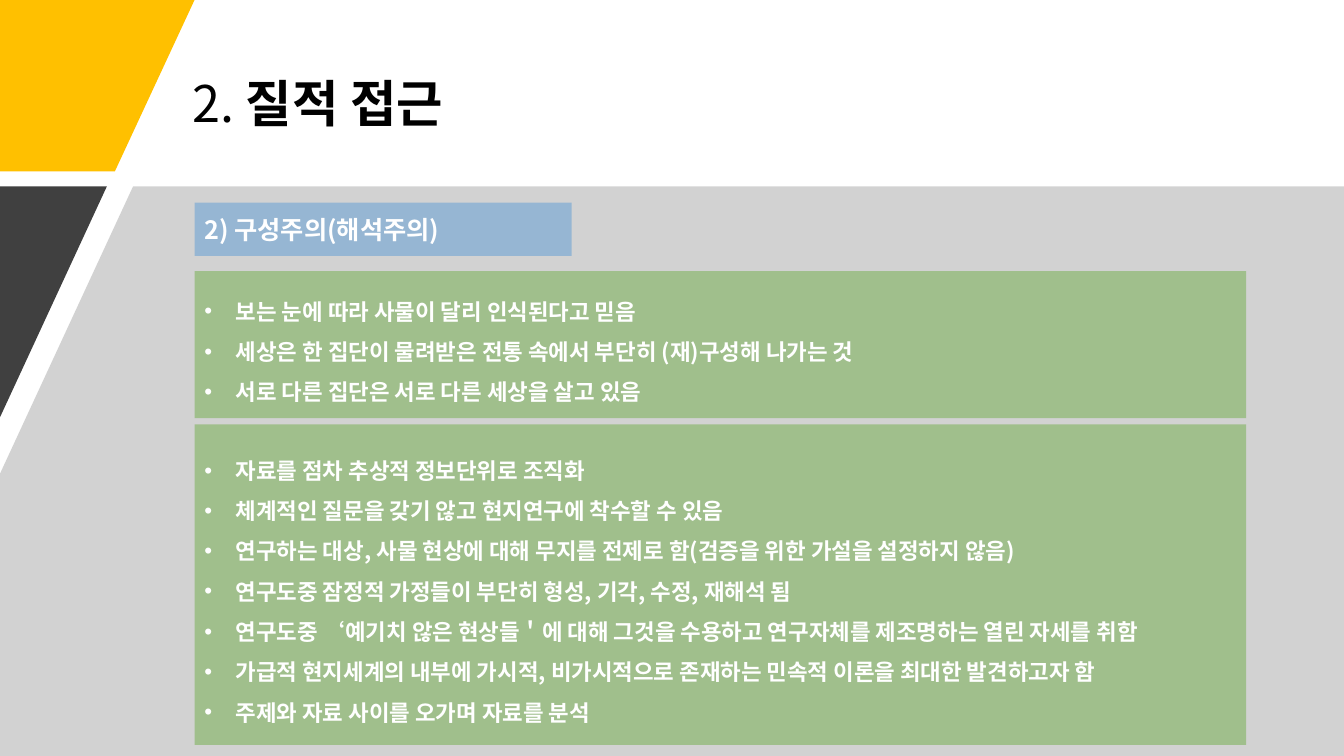
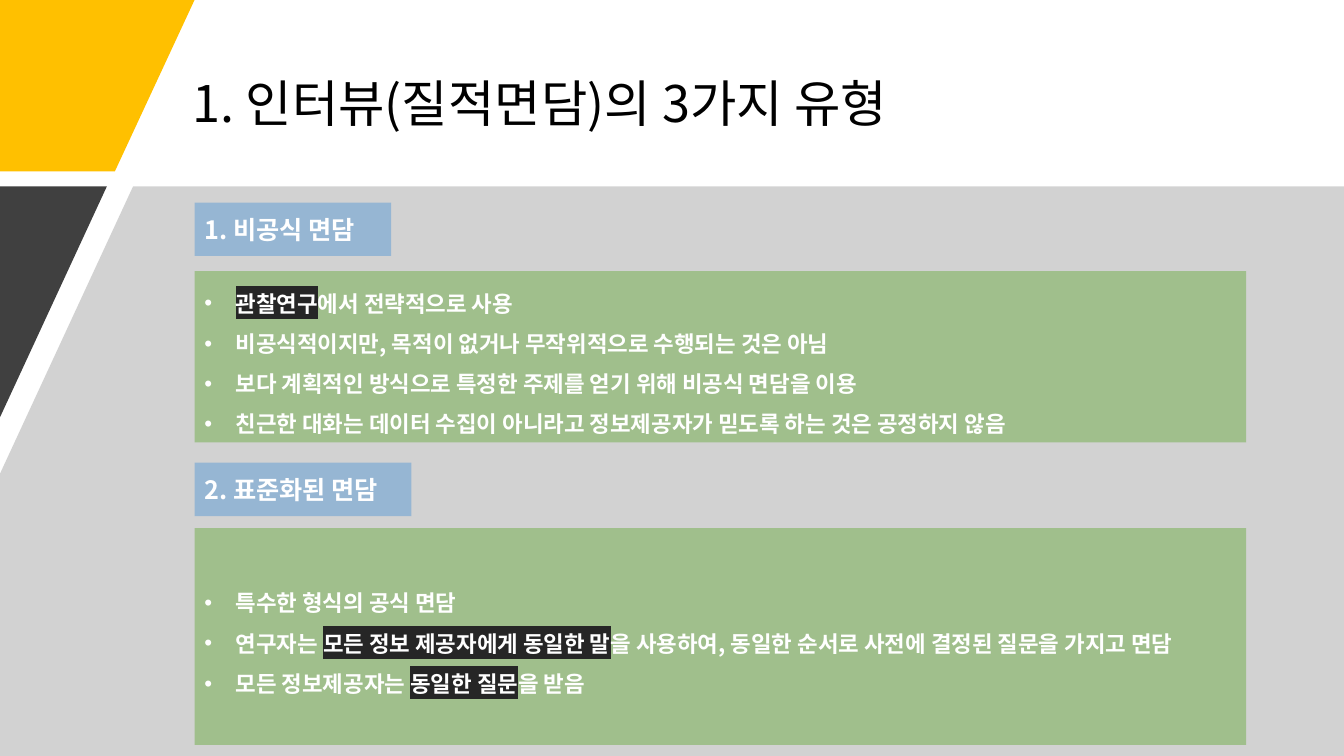
from dataclasses import dataclass

from lxml.etree import SubElement
from pptx import Presentation
from pptx.dml.color import RGBColor
from pptx.enum.shapes import MSO_SHAPE
from pptx.enum.text import MSO_ANCHOR, MSO_AUTO_SIZE, PP_ALIGN
from pptx.oxml.ns import qn
from pptx.util import Inches, Pt


@dataclass(frozen=True)
class Theme:
    """Colours, type sizes and shared measures."""
    font: str = "Noto Sans CJK KR"
    black: str = "000000"
    white: str = "FFFFFF"
    gold: str = "FFC000"
    dark: str = "404040"
    gray: str = "A6A6A6"
    blue: str = "5B9BD5"
    green: str = "70AD47"
    mark: str = "262626"
    title: int = 36
    head: int = 18
    body: int = 16
    wide: float = 13.33
    high: float = 7.5
    left: float = 1.93
    span: float = 10.43
    band: float = 1.85
    bar: float = 0.53
    indent: float = 0.31


class Deck:
    """Holds the style and the current slide."""

    def __init__(self, theme):
        """Start an empty wide deck."""
        self.theme = theme
        self.prs = Presentation()
        self.prs.slide_width = Inches(theme.wide)
        self.prs.slide_height = Inches(theme.high)
        self.slide = None

    def page(self, title):
        """Add a slide with its title and backdrop; *text* is bold."""
        t = self.theme
        self.slide = self.prs.slides.add_slide(self.prs.slide_layouts[5])
        box = self.slide.shapes.title
        box.left, box.top = Inches(1.81), Inches(0.4)
        box.width, box.height = Inches(10.24), Inches(1.3)
        frame = box.text_frame
        frame.word_wrap = True
        frame.auto_size = MSO_AUTO_SIZE.NONE
        frame.vertical_anchor = MSO_ANCHOR.MIDDLE
        para = frame.paragraphs[0]
        para.alignment = PP_ALIGN.LEFT
        para.line_spacing = 0.9
        self.style(para, t.title, t.black)
        for run in self.runs(para, title):
            run.font.bold = True
        self.area([(0, 0), (t.left, 0), (1.14, 1.7), (0, 1.7)], t.gold)
        self.area([(1.32, t.band), (t.wide, t.band), (t.wide, t.high),
                   (0, t.high), (0, 4.7)], t.gray, 50)
        self.area([(0, t.band), (1.06, t.band), (0, 4.14)], t.dark)

    def paint(self, shape, color, alpha=100):
        """Fill a shape without line or shadow."""
        shape.shadow.inherit = False
        shape.line.fill.background()
        shape.fill.solid()
        shape.fill.fore_color.rgb = RGBColor.from_string(color)
        if alpha < 100:
            node = shape._element.spPr.find(qn("a:solidFill"))[0]
            SubElement(node, qn("a:alpha"), val=str(alpha * 1000))

    def area(self, points, color, alpha=100):
        """Draw a filled polygon."""
        spots = [(Inches(x), Inches(y)) for x, y in points]
        form = self.slide.shapes.build_freeform(*spots[0])
        form.add_line_segments(spots[1:], close=True)
        self.paint(form.convert_to_shape(), color, alpha)

    def style(self, para, size, color, bold=False):
        """Set the font of a whole paragraph."""
        font = para.font
        font.size, font.bold = Pt(size), bold
        font.color.rgb = RGBColor.from_string(color)
        font.name = self.theme.font
        node = para._p.pPr.find(qn("a:defRPr"))
        SubElement(node, qn("a:ea"), typeface=self.theme.font)

    def runs(self, para, text):
        """Add runs split at asterisks and return the marked ones."""
        made = []
        for i, part in enumerate(text.split("*")):
            if part:
                run = para.add_run()
                run.text = part
                if i % 2:
                    made.append(run)
        return made

    def panel(self, top, width, height, color):
        """Add a half-clear panel and return its text frame."""
        box = self.slide.shapes.add_shape(
            MSO_SHAPE.RECTANGLE, Inches(self.theme.left), Inches(top),
            Inches(width), Inches(height))
        self.paint(box, color, 50)
        frame = box.text_frame
        frame.word_wrap = True
        frame.vertical_anchor = MSO_ANCHOR.MIDDLE
        return frame

    def head(self, top, width, text):
        """Add a blue section label."""
        t = self.theme
        para = self.panel(top, width, t.bar, t.blue).paragraphs[0]
        para.alignment = PP_ALIGN.LEFT
        self.style(para, t.head, t.white, True)
        self.runs(para, text)

    def points(self, top, height, lines):
        """Add a green bullet panel; *text* is highlighted."""
        t = self.theme
        frame = self.panel(top, t.span, height, t.green)
        for i, line in enumerate(lines):
            para = frame.add_paragraph() if i else frame.paragraphs[0]
            para.alignment = PP_ALIGN.LEFT
            para.line_spacing = 1.5
            props = para._p.get_or_add_pPr()
            props.set("marL", str(Inches(t.indent)))
            props.set("indent", str(-Inches(t.indent)))
            SubElement(props, qn("a:buFont"), typeface="Arial")
            SubElement(props, qn("a:buChar"), char="•")
            self.style(para, t.body, t.white, True)
            for run in self.runs(para, line):
                glow = SubElement(run._r.get_or_add_rPr(), qn("a:highlight"))
                SubElement(glow, qn("a:srgbClr"), val=t.mark)


def main():
    """Build and save both slides."""
    deck = Deck(Theme())

    deck.page("2. *질적 접근*")
    deck.head(2.01, 3.74, "2) 구성주의(해석주의)")
    deck.points(2.69, 1.46, [
        "보는 눈에 따라 사물이 달리 인식된다고 믿음",
        "세상은 한 집단이 물려받은 전통 속에서 부단히 (재)구성해 나가는 것",
        "서로 다른 집단은 서로 다른 세상을 살고 있음",
    ])
    deck.points(4.21, 3.18, [
        "자료를 점차 추상적 정보단위로 조직화",
        "체계적인 질문을 갖기 않고 현지연구에 착수할 수 있음",
        "연구하는 대상, 사물 현상에 대해 무지를 전제로 함(검증을 위한 가설을 설정하지 않음)",
        "연구도중 잠정적 가정들이 부단히 형성, 기각, 수정, 재해석 됨",
        "연구도중 ‘예기치 않은 현상들＇에 대해 그것을 수용하고 연구자체를 제조명하는 열린 자세를 취함",
        "가급적 현지세계의 내부에 가시적, 비가시적으로 존재하는 민속적 이론을 최대한 발견하고자 함",
        "주제와 자료 사이를 오가며 자료를 분석",
    ])

    deck.page("1. 인터뷰(질적면담)의 3가지 유형")
    deck.head(2.01, 1.95, "1. 비공식 면담")
    deck.points(2.69, 1.7, [
        "*관찰연구*에서 전략적으로 사용",
        "비공식적이지만, 목적이 없거나 무작위적으로 수행되는 것은 아님",
        "보다 계획적인 방식으로 특정한 주제를 얻기 위해 비공식 면담을 이용",
        "친근한 대화는 데이터 수집이 아니라고 정보제공자가 믿도록 하는 것은 공정하지 않음",
    ])
    deck.head(4.59, 2.15, "2. 표준화된 면담")
    deck.points(5.24, 2.15, [
        "특수한 형식의 공식 면담",
        "연구자는 *모든 정보 제공자에게 동일한 말*을 사용하여, 동일한 순서로 사전에 결정된 질문을 가지고 면담",
        "모든 정보제공자는 *동일한 질문*을 받음",
    ])

    deck.prs.save("out.pptx")


if __name__ == "__main__":
    main()
